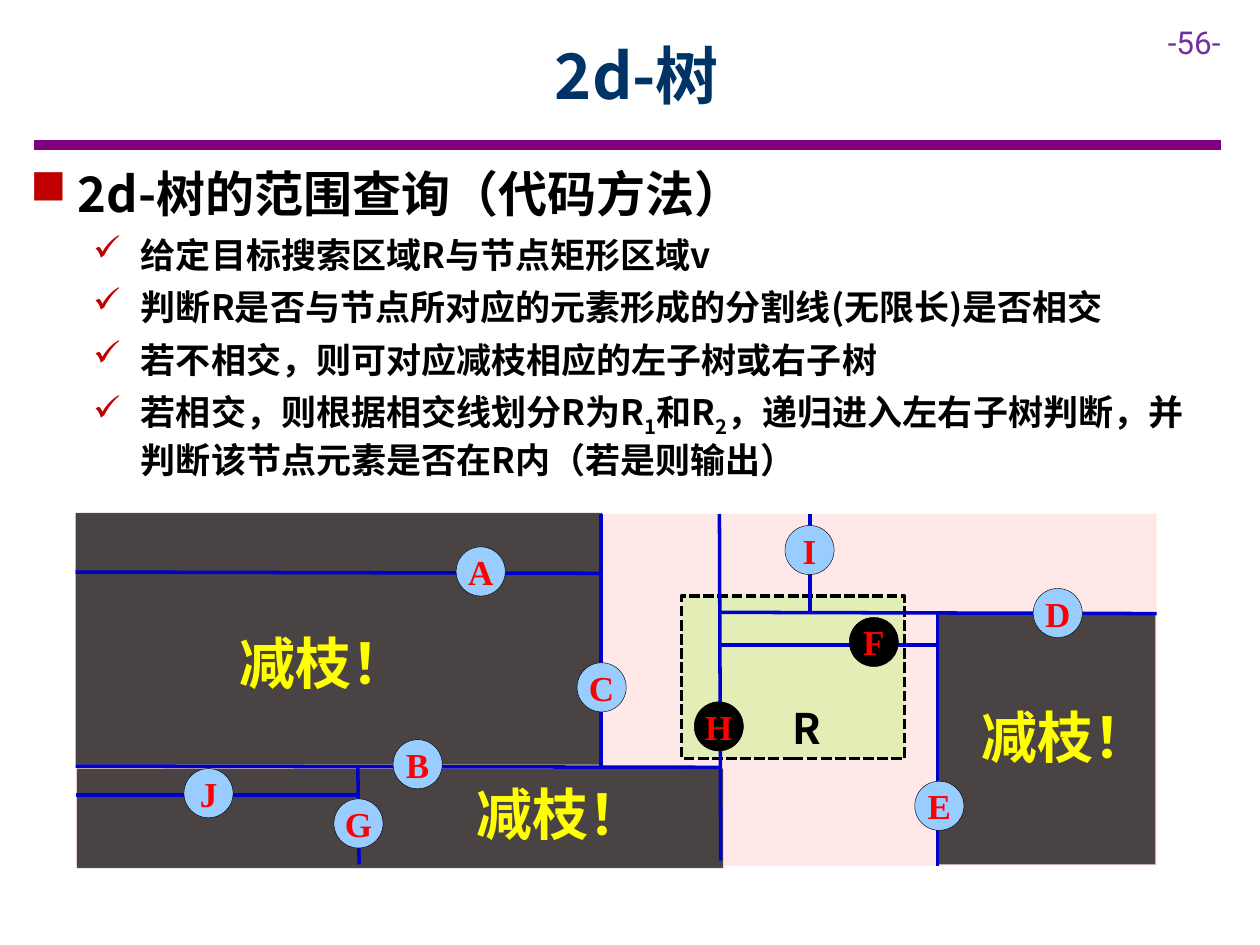
from dataclasses import dataclass

from lxml import etree
from pptx import Presentation
from pptx import util as u
from pptx.dml.color import RGBColor
from pptx.enum import dml, shapes, text
from pptx.oxml.ns import qn

In = u.Inches


@dataclass(frozen=True)
class Theme:
    sans: str = "Noto Sans CJK SC"
    serif: str = "Times New Roman"
    num: str = "Roboto"
    black: str = "000000"
    navy: str = "003366"
    purple: str = "800080"
    violet: str = "7030A0"
    bullet: str = "C00000"
    pink: str = "FFCCCC"
    green: str = "99FF33"
    blue: str = "0000CC"
    sky: str = "99CCFF"
    red: str = "FF0000"
    yellow: str = "FFFF00"
    title: int = 36
    head: int = 28
    body: int = 20
    page: int = 18
    node: int = 20
    area: int = 24
    prune: int = 32


@dataclass(frozen=True)
class Box:
    x: float
    y: float
    w: float
    h: float
    fill: str
    alpha: int


@dataclass(frozen=True)
class Cut:
    x1: float
    y1: float
    x2: float
    y2: float


@dataclass(frozen=True)
class Node:
    name: str
    x: float
    y: float
    hit: bool = False


@dataclass(frozen=True)
class Item:
    words: tuple[str, ...]  # every second part is a subscript
    size: int
    mark: str
    left: float
    level: int = 0


T = Theme()
DIAM = 0.39
HANG = 0.38

BOXES = [
    Box(0.6, 4.08, 8.58, 2.79, T.pink, 44),
    Box(0.61, 6.1, 5.13, 0.79, T.black, 71),
    Box(0.6, 4.07, 4.18, 2, T.black, 71),
    Box(7.44, 4.87, 1.73, 1.99, T.black, 71),
]
RANGE = Box(5.41, 4.73, 1.77, 1.29, T.green, 27)
CUTS = [
    Cut(5.71, 4.08, 5.72, 6.83),
    Cut(5.72, 6.09, 0.6, 6.08),
    Cut(9.18, 4.87, 5.72, 4.86),
    Cut(7.44, 4.86, 7.44, 6.87),
    Cut(4.77, 4.08, 4.77, 6.08),
    Cut(2.84, 6.08, 2.85, 6.86),
    Cut(2.85, 6.31, 0.6, 6.31),
    Cut(7.44, 5.12, 5.72, 5.12),
    Cut(6.43, 4.08, 6.43, 4.86),
    Cut(4.77, 4.55, 0.6, 4.54),
]
NODES = [
    Node("D", 8.2, 4.67), Node("E", 7.26, 6.2), Node("B", 3.12, 5.87),
    Node("G", 2.65, 6.34), Node("J", 1.46, 6.1), Node("I", 6.23, 4.17),
    Node("C", 4.58, 5.26), Node("F", 6.74, 4.9, True),
    Node("H", 5.51, 5.57, True), Node("A", 3.62, 4.34),
]
STEPS = [
    ("给定目标搜索区域R与节点矩形区域v",),
    ("判断R是否与节点所对应的元素形成的分割线(无限长)是否相交",),
    ("若不相交，则可对应减枝相应的左子树或右子树",),
    ("若相交，则根据相交线划分R为R", "1", "和R", "2",
     "，递归进入左右子树判断，并判断该节点元素是否在R内（若是则输出）"),
]
ITEMS = [Item(("2d-树的范围查询（代码方法）",), T.head, "■", 0.38)]
ITEMS += [Item(step, T.body, "✓", 0.88, 1) for step in STEPS]
PRUNES = [(3.68, 6.14), (1.8, 4.94), (7.69, 5.53)]


def rgb(code: str) -> RGBColor:
    return RGBColor.from_string(code)


def style(para, size: int, color: str, face: str, bold: bool = True) -> None:
    font = para.font
    font.size, font.bold, font.name = u.Pt(size), bold, face
    font.color.rgb = rgb(color)
    props = para._p.pPr.find(qn("a:defRPr"))
    etree.SubElement(props, qn("a:ea"), typeface=face)


def add_text(slide, at, words, size, color, face=T.sans, bold=True,
             wrap=False, align=None):
    frame = slide.shapes.add_textbox(*map(In, at)).text_frame
    frame.word_wrap = wrap
    para = frame.paragraphs[0]
    para.text, para.alignment = words, align
    style(para, size, color, face, bold)
    return frame


def add_box(slide, box: Box):
    shape = slide.shapes.add_shape(shapes.MSO_SHAPE.RECTANGLE, In(box.x),
                                   In(box.y), In(box.w), In(box.h))
    shape.shadow.inherit = False
    shape.fill.solid()
    shape.fill.fore_color.rgb = rgb(box.fill)
    color = shape._element.spPr.find(qn("a:solidFill"))[0]
    etree.SubElement(color, qn("a:alpha"), val=str(box.alpha * 1000))
    shape.line.fill.background()
    return shape


def add_line(slide, cut: Cut, color: str, width: float) -> None:
    line = slide.shapes.add_connector(
        shapes.MSO_CONNECTOR.STRAIGHT,
        In(cut.x1), In(cut.y1), In(cut.x2), In(cut.y2))
    line.line.color.rgb = rgb(color)
    line.line.width = u.Pt(width)
    etree.SubElement(line._element.spPr, qn("a:effectLst"))


def add_node(slide, node: Node) -> None:
    shape = slide.shapes.add_shape(shapes.MSO_SHAPE.ROUNDED_RECTANGLE,
                                   In(node.x), In(node.y), In(DIAM), In(DIAM))
    shape.adjustments[0] = 0.5
    shape.shadow.inherit = False
    shape.fill.solid()
    shape.fill.fore_color.rgb = rgb(T.black if node.hit else T.sky)
    shape.line.color.rgb = rgb(T.black)
    shape.line.width = u.Pt(0.25)
    frame = shape.text_frame
    frame.margin_left = frame.margin_right = 0
    frame.margin_top = frame.margin_bottom = In(0.1)
    frame.vertical_anchor = text.MSO_ANCHOR.MIDDLE
    para = frame.paragraphs[0]
    para.text, para.alignment = node.name, text.PP_ALIGN.CENTER
    style(para, T.node, T.red, T.serif)


def add_item(para, item: Item) -> None:
    for i, words in enumerate(item.words):
        run = para.add_run()
        run.text = words
        if i % 2:
            run.font._element.set("baseline", "-25000")
    para.level, para.space_after = item.level, u.Pt(6)
    props = para._p.get_or_add_pPr()
    props.set("marL", str(In(item.left)))
    props.set("indent", str(-In(HANG)))
    color = etree.SubElement(props, qn("a:buClr"))
    etree.SubElement(color, qn("a:srgbClr"), val=T.bullet)
    etree.SubElement(props, qn("a:buChar"), char=item.mark)
    style(para, item.size, T.black, T.sans)


def main() -> None:
    deck = Presentation()
    deck.slide_width, deck.slide_height = In(10), In(7.5)
    slide = deck.slides.add_slide(deck.slide_layouts[6])

    add_line(slide, Cut(0.27, 1.15, 9.69, 1.15), T.purple, 6)
    add_text(slide, (9.17, 0.13, 0.83, 0.4), "-56-", T.page, T.violet,
             T.num, bold=False)
    for box in BOXES:
        add_box(slide, box)
    title = add_text(slide, (0.9, 0.09, 8.31, 1), "2d-树", T.title, T.navy,
                     wrap=True, align=text.PP_ALIGN.CENTER)
    title.vertical_anchor = text.MSO_ANCHOR.MIDDLE

    body = slide.shapes.add_textbox(*map(In, (0.14, 1.25, 9.42, 3.57)))
    frame = body.text_frame
    frame.word_wrap = True
    for i, item in enumerate(ITEMS):
        add_item(frame.add_paragraph() if i else frame.paragraphs[0], item)

    area = add_box(slide, RANGE)
    area.line.color.rgb = rgb(T.black)
    area.line.width = u.Pt(2)
    area.line.dash_style = dml.MSO_LINE.SQUARE_DOT
    for cut in CUTS:
        add_line(slide, cut, T.blue, 2)
    for node in NODES:
        add_node(slide, node)
    add_text(slide, (6.19, 5.53, 0.44, 0.5), "R", T.area, T.black)
    for x, y in PRUNES:
        add_text(slide, (x, y, 1.55, 0.64), "减枝！", T.prune, T.yellow)
    deck.save("out.pptx")


if __name__ == "__main__":
    main()
